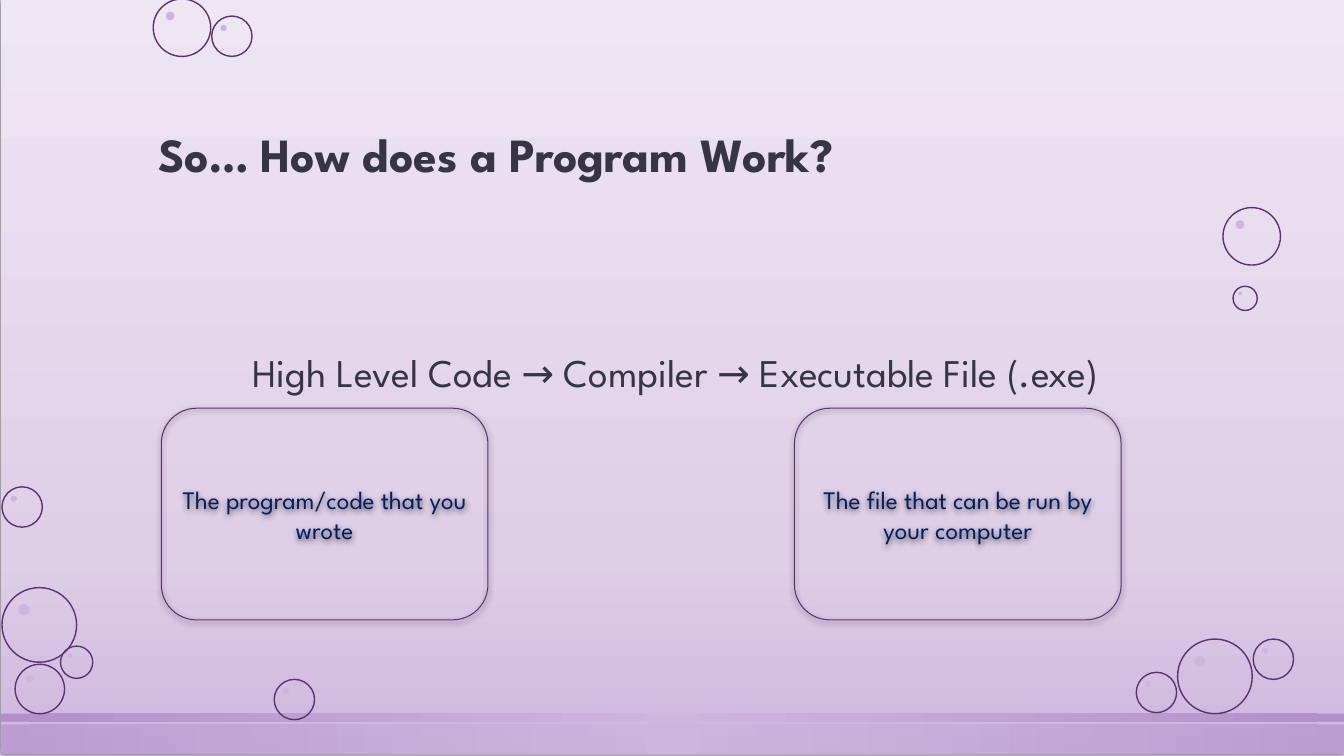
from lxml import etree
from pptx import Presentation
from pptx.dml.color import RGBColor
from pptx.enum.shapes import MSO_SHAPE
from pptx.enum.text import MSO_ANCHOR, PP_ALIGN
from pptx.oxml.ns import nsdecls
from pptx.util import Inches, Pt

RECT, OVAL, ROUNDED = MSO_SHAPE.RECTANGLE, MSO_SHAPE.OVAL, MSO_SHAPE.ROUNDED_RECTANGLE
LEFT, CENTER = PP_ALIGN.LEFT, PP_ALIGN.CENTER
MIDDLE, BOTTOM = MSO_ANCHOR.MIDDLE, MSO_ANCHOR.BOTTOM

FONT = "League Spartan"
INK = RGBColor(0x37, 0x35, 0x45)
NAVY = RGBColor(0x00, 0x20, 0x60)
PLUM = RGBColor(0x5A, 0x34, 0x71)
LILAC = RGBColor(0xCE, 0xB5, 0xDD)

TITLE = "So… How does a Program Work?"
FLOW = "High Level Code → Compiler → Executable File (.exe)"
# left, text
CARDS = [
    (1.6, "The program/code that you wrote"),
    (7.88, "The file that can be run by your computer"),
]
# top, height, opacity in percent
BANDS = [(7.19, 0.3, 50), (7.08, 0.08, 80)]
# left, top, diameter
BUBBLES = [
    (0.02, 5.83, 0.74), (0.6, 6.41, 0.32), (0.15, 6.59, 0.49),
    (2.72, 6.74, 0.4), (0.02, 4.83, 0.4),
    (11.68, 6.34, 0.74), (11.27, 6.67, 0.4), (12.43, 6.34, 0.4),
    (12.13, 2.06, 0.57), (12.23, 2.84, 0.24),
    (1.52, -0.01, 0.57), (2.1, 0.16, 0.4),
]
GLINT_OFFSET, GLINT_SIZE = 0.22, 0.15  # shares of the bubble's diameter
BACKDROP_STOPS = [(0, "EFE6F4", 100), (74, "DECEE8", 100), (100, "CEB5DD", 100)]
DOWNWARD = '<a:lin ang="5400000" scaled="0"/>'
RADIAL = ('<a:path path="circle"><a:fillToRect l="50000" t="50000" '
          'r="50000" b="50000"/></a:path>')


def add_shape(slide, kind, left, top, width, height, fill=None, line=None, weight=1):
    sp = slide.shapes.add_shape(kind, Inches(left), Inches(top),
                                Inches(width), Inches(height))
    sp.shadow.inherit = False
    if fill is None:
        sp.fill.background()
    else:
        sp.fill.solid()
        sp.fill.fore_color.rgb = fill
    if line is None:
        sp.line.fill.background()
    else:
        sp.line.color.rgb = line
        sp.line.width = Pt(weight)
    return sp


def set_gradient(sp, stops, direction):
    """Replace the fill by a gradient of (position, colour, opacity) stops."""
    marks = "".join(
        f'<a:gs pos="{pos * 1000}"><a:srgbClr val="{color}">'
        f'<a:alpha val="{opacity * 1000}"/></a:srgbClr></a:gs>'
        for pos, color, opacity in stops)
    gradient = etree.fromstring(
        f'<a:gradFill {nsdecls("a")} rotWithShape="1"><a:gsLst>{marks}</a:gsLst>'
        f'{direction}</a:gradFill>')
    sp_pr = sp.fill._xPr
    sp_pr.replace(sp_pr.eg_fillProperties, gradient)


def add_soft_shadow(sp):
    effects = sp._element.spPr.find("{*}effectLst")
    effects.append(etree.fromstring(
        f'<a:outerShdw {nsdecls("a")} blurRad="{Pt(4.5)}" dist="{Pt(1.5)}" '
        'dir="5400000" algn="ctr" rotWithShape="0"><a:srgbClr val="000000">'
        '<a:alpha val="63000"/></a:srgbClr></a:outerShdw>'))


def set_text(sp, text, size, color, align, anchor, bold=False, spacing=1.0):
    tf = sp.text_frame
    tf.word_wrap = True
    tf.vertical_anchor = anchor
    tf.text = text
    p = tf.paragraphs[0]
    p.alignment = align
    p.line_spacing = spacing
    font = p.runs[0].font
    font.name, font.size, font.bold = FONT, Pt(size), bold
    font.color.rgb = color


def add_textbox(slide, left, top, width, height):
    return slide.shapes.add_textbox(Inches(left), Inches(top),
                                    Inches(width), Inches(height))


def main():
    prs = Presentation()
    prs.slide_width, prs.slide_height = Inches(13.33), Inches(7.5)
    slide = prs.slides.add_slide(prs.slide_layouts[6])

    backdrop = add_shape(slide, RECT, 0.01, -0.02, 13.33, 7.5)
    set_gradient(backdrop, BACKDROP_STOPS, DOWNWARD)
    add_soft_shadow(backdrop)
    for top, height, opacity in BANDS:
        band = add_shape(slide, RECT, 0.01, top, 13.33, height)
        set_gradient(band, [(0, "CEB5DD", opacity), (100, "AD84C6", opacity)], RADIAL)

    for left, top, size in BUBBLES:
        add_shape(slide, OVAL, left, top, size, size, line=PLUM)
        offset, glint = size * GLINT_OFFSET, size * GLINT_SIZE
        add_shape(slide, OVAL, left + offset, top + offset, glint, glint, fill=LILAC)

    set_text(add_textbox(slide, 1.47, 0.51, 10.4, 1.35), TITLE, 34, INK,
             LEFT, BOTTOM, bold=True, spacing=0.9)
    set_text(add_textbox(slide, 1.5, 3.4, 10.4, 0.64), FLOW, 28, INK,
             CENTER, MIDDLE, spacing=0.9)

    for left, text in CARDS:
        card = add_shape(slide, ROUNDED, left, 4.05, 3.24, 2.1, line=PLUM, weight=0.75)
        add_soft_shadow(card)
        set_text(card, text, 18, NAVY, CENTER, MIDDLE)

    prs.save("out.pptx")


if __name__ == "__main__":
    main()
